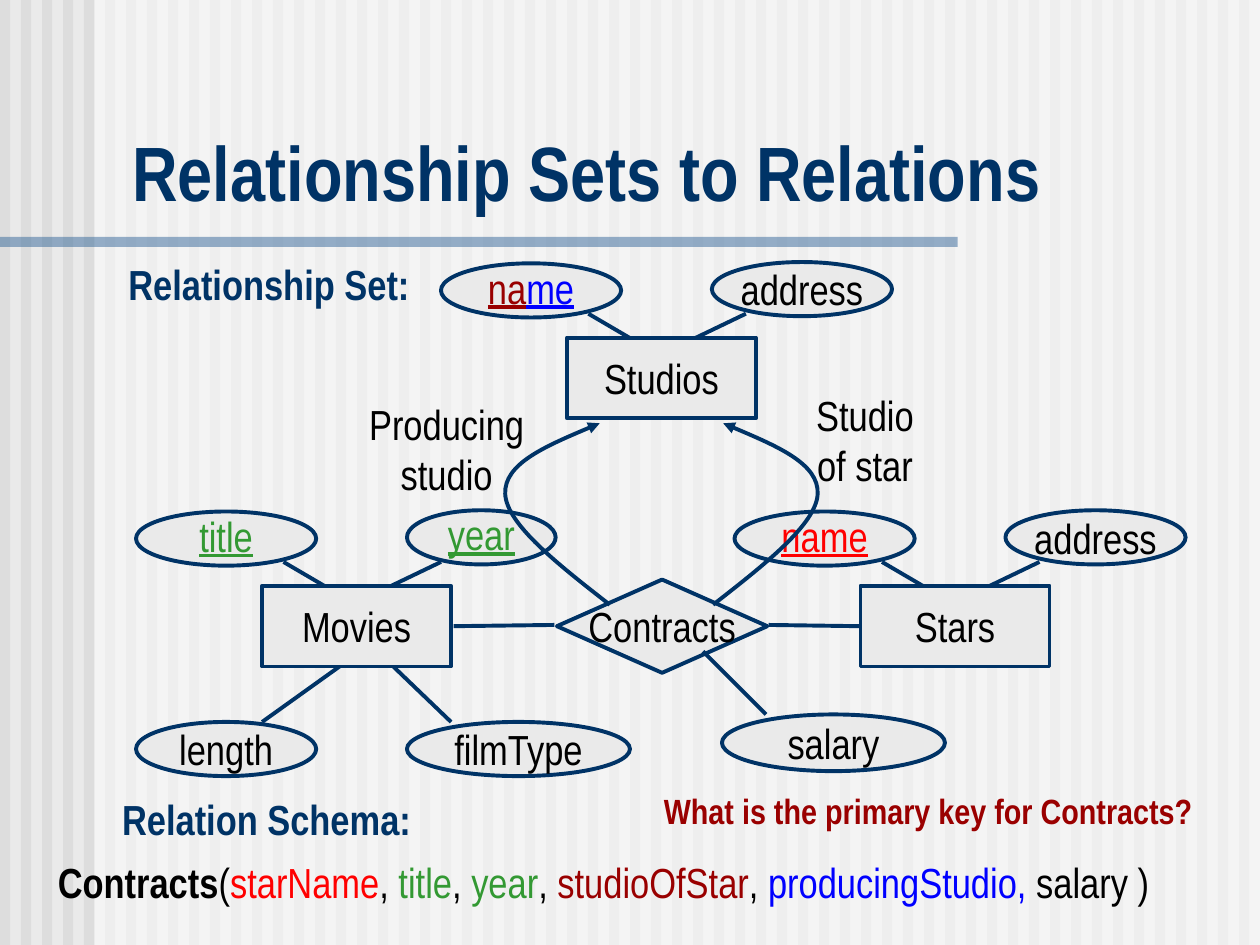
from lxml import etree
from pptx import Presentation
from pptx.dml.color import RGBColor
from pptx.enum.shapes import MSO_CONNECTOR, MSO_SHAPE
from pptx.enum.text import MSO_ANCHOR, MSO_AUTO_SIZE, PP_ALIGN
from pptx.oxml.ns import qn
from pptx.util import Inches, Pt

RECT, OVAL, DIAMOND = MSO_SHAPE.RECTANGLE, MSO_SHAPE.OVAL, MSO_SHAPE.DIAMOND
LEFT, CENTER = PP_ALIGN.LEFT, PP_ALIGN.CENTER
MIDDLE, BOTTOM = MSO_ANCHOR.MIDDLE, MSO_ANCHOR.BOTTOM
GROW, FIXED = MSO_AUTO_SIZE.SHAPE_TO_FIT_TEXT, MSO_AUTO_SIZE.NONE
STRAIGHT = MSO_CONNECTOR.STRAIGHT

COLORS = {
    "paper": "EAEAEA", "stripe": "DDDDDD", "white": "FFFFFF", "bar": "336699",
    "navy": "003366", "black": "000000", "red": "FF0000", "green": "339933",
    "maroon": "990000", "blue": "0000FF", "ask": "9A0000",
}


def color(name):
    return RGBColor.from_string(COLORS[name])


def inches(*values):
    return [Inches(v) for v in values]


class Board:
    """Holds the slide and the style of the diagram."""

    font = "Arial Narrow"
    size = 24
    width = 2.25

    def __init__(self, slide):
        self.slide = slide
        fill = slide.background.fill
        fill.solid()
        fill.fore_color.rgb = color("paper")

    def label(self, frame, lines, size=None, align=CENTER, space=None):
        """Each line is a list of runs: (text, color, marks b and u)."""
        for i, runs in enumerate(lines):
            para = frame.paragraphs[0] if i == 0 else frame.add_paragraph()
            para.alignment = align
            if space:
                para.line_spacing = space
            for text, tint, marks in runs:
                run = para.add_run()
                run.text = text
                font = run.font
                font.name, font.size = self.font, Pt(size or self.size)
                font.bold, font.underline = "b" in marks, "u" in marks
                font.color.rgb = color(tint)

    def title(self, box, text):
        shape = self.slide.shapes.title
        shape.left, shape.top, shape.width, shape.height = inches(*box)
        # Bring the title in front of the backdrop
        shape.element.getparent().append(shape.element)
        frame = shape.text_frame
        frame.vertical_anchor, frame.auto_size = BOTTOM, FIXED
        self.label(frame, [[(text, "navy", "b")]], 44, LEFT)

    def text(self, box, runs, size=None, align=CENTER, wrap=False):
        frame = self.slide.shapes.add_textbox(*inches(*box)).text_frame
        frame.word_wrap, frame.auto_size = wrap, GROW
        self.label(frame, [runs], size, align)

    def block(self, box, tint, alpha=None):
        """Plain backdrop rectangle, alpha in percent."""
        shape = self.slide.shapes.add_shape(RECT, *inches(*box))
        shape.shadow.inherit = False
        shape.line.fill.background()
        shape.fill.solid()
        shape.fill.fore_color.rgb = color(tint)
        if alpha:
            mark = shape.element.spPr.find(".//" + qn("a:srgbClr"))
            etree.SubElement(mark, qn("a:alpha"), val=str(alpha * 1000))

    def stroke(self, line):
        line.color.rgb = color("navy")
        line.width = Pt(self.width)

    def node(self, kind, box, lines, bare=False):
        shape = self.slide.shapes.add_shape(kind, *inches(*box))
        shape.shadow.inherit = False
        if bare:
            shape.fill.background()
            shape.line.fill.background()
        else:
            shape.fill.solid()
            shape.fill.fore_color.rgb = color("paper")
            self.stroke(shape.line)
        frame = shape.text_frame
        frame.word_wrap, frame.vertical_anchor = False, MIDDLE
        is_key = "u" in lines[0][0][2]
        self.label(frame, lines, space=0.9 if is_key else None)

    def link(self, *ends):
        line = self.slide.shapes.add_connector(STRAIGHT, *inches(*ends))
        self.stroke(line.line)
        etree.SubElement(line.element.spPr, qn("a:effectLst"))

    def arrow(self, points):
        """Curve through a start and triples of Bezier points, with a head."""
        start, *rest = [inches(x, y) for x, y in points]
        form = self.slide.shapes.build_freeform(*start)
        form.add_line_segments(rest, close=False)
        shape = form.convert_to_shape()
        shape.shadow.inherit = False
        shape.fill.background()
        self.stroke(shape.line)
        props = shape.element.spPr
        etree.SubElement(props.find(qn("a:ln")), qn("a:tailEnd"), type="triangle")
        track = props.find(".//" + qn("a:path"))
        steps = track.findall(qn("a:lnTo"))
        for i in range(0, len(steps), 3):
            curve = etree.SubElement(track, qn("a:cubicBezTo"))
            for step in steps[i:i + 3]:
                curve.append(step[0])
                track.remove(step)

    def entity(self, x, y, name, key, other, wide=1.43):
        """Box with a key attribute at upper left and another at upper right."""
        self.node(OVAL, (x - 1, y - 0.59, 1.43, 0.43), [key])
        self.node(OVAL, (x + 1.15, y - 0.6, wide, 0.43), [other])
        self.link(x + 0.17, y - 0.19, x + 0.58, y + 0.05)
        self.link(x + 1.42, y - 0.19, x + 0.92, y + 0.05)
        self.node(RECT, (x, y, 1.5, 0.64), [plain(name)])


def plain(text):
    return [(text, "black", "")]


def main():
    deck = Presentation()
    deck.slide_width, deck.slide_height = inches(10, 7.5)
    board = Board(deck.slides.add_slide(deck.slide_layouts[5]))

    for i in range(60):
        board.block((i / 6, 0, 0.08, 7.5), "stripe")
    board.block((0.75, 0, 9.25, 7.5), "white", 50)
    board.block((0, 1.88, 7.6, 0.08), "bar", 50)

    board.title((0.95, 0.94, 8.93, 0.83), "Relationship Sets to Relations")
    board.text((0.92, 2, 2.43, 0.5), [("Relationship Set:", "navy", "b")])
    board.text((0.87, 6.25, 2.49, 0.5), [("Relation Schema:", "navy", "b")])
    board.text((0.36, 6.75, 8.86, 0.5), [
        ("Contracts", "black", "b"), ("(", "black", ""),
        ("starName", "red", ""), (", ", "black", ""),
        ("title", "green", ""), (", ", "black", ""),
        ("year", "green", ""), (", ", "black", ""),
        ("studioOfStar", "maroon", ""), (", ", "black", ""),
        ("producingStudio,", "blue", ""), (" salary )", "black", ""),
    ])

    board.node(OVAL, (1.08, 5.73, 1.43, 0.43), [plain("length")])
    board.node(OVAL, (3.23, 5.73, 1.77, 0.43), [plain("filmType")])
    board.link(2.08, 5.73, 2.75, 5.25)
    board.link(3.58, 5.73, 3.08, 5.25)
    board.entity(2.08, 4.65, "Movies", [("title", "green", "u")],
                 [("year", "green", "u")], wide=1.18)
    board.entity(6.83, 4.65, "Stars", [("name", "red", "u")], plain("address"))
    board.entity(4.5, 2.68, "Studios",
                 [("na", "maroon", "u"), ("me", "blue", "u")], plain("address"))

    board.link(4.4, 4.96, 3.6, 4.97)
    board.link(6.1, 4.96, 6.82, 4.97)
    board.node(DIAMOND, (4.42, 4.6, 1.67, 0.74), [plain("Contracts")])

    axis = 5.25
    bend = [(0.41, 4.8), (0.82, 4.48), (1.23, 4.16), (1.24, 3.92),
            (1.25, 3.68), (0.87, 3.52), (0.49, 3.36)]
    for side in (1, -1):
        board.arrow([(axis + side * x, y) for x, y in bend])
    board.node(DIAMOND, (5.75, 3.12, 2.23, 0.74),
               [plain("Studio"), plain("of star")], bare=True)
    board.node(DIAMOND, (2.43, 3.19, 2.23, 0.74),
               [plain("Producing"), plain("studio")], bare=True)

    board.text((5.17, 6.22, 4.65, 0.44),
               [("What is the primary key for Contracts?", "ask", "b")],
               20, LEFT, wrap=True)
    board.node(OVAL, (5.73, 5.67, 1.77, 0.45), [plain("salary")])
    board.link(6.08, 5.67, 5.58, 5.17)
    deck.save("out.pptx")


if __name__ == "__main__":
    main()
